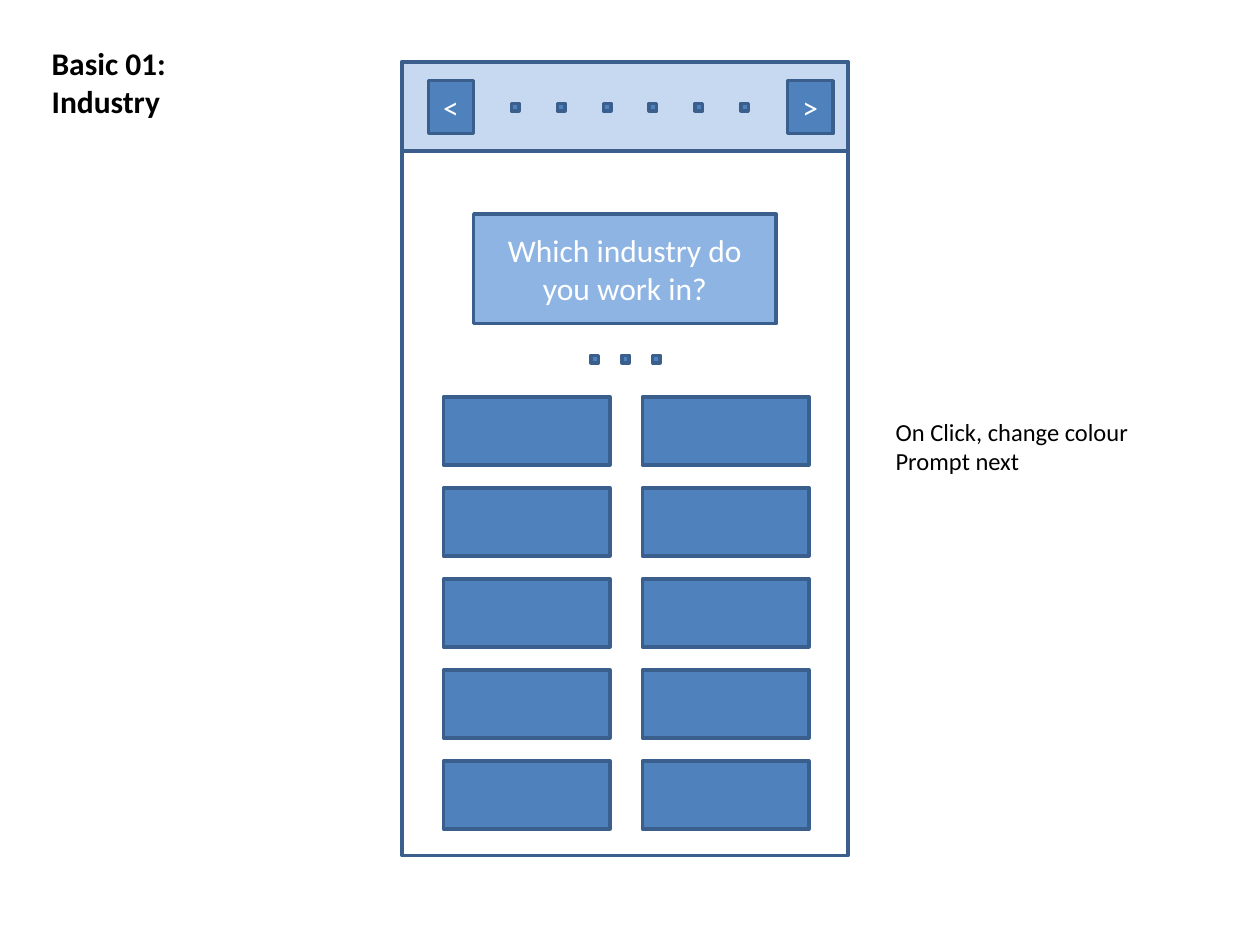
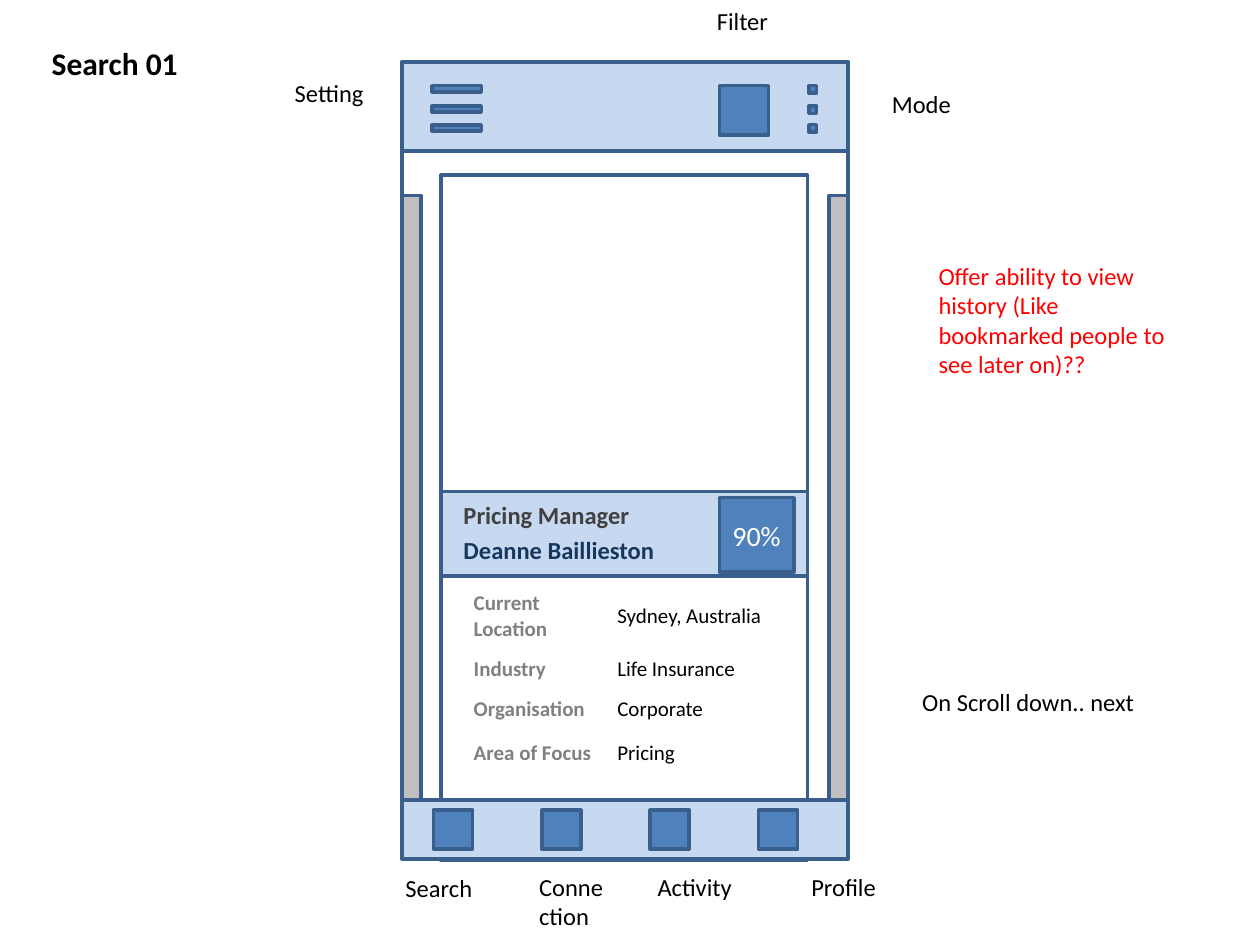
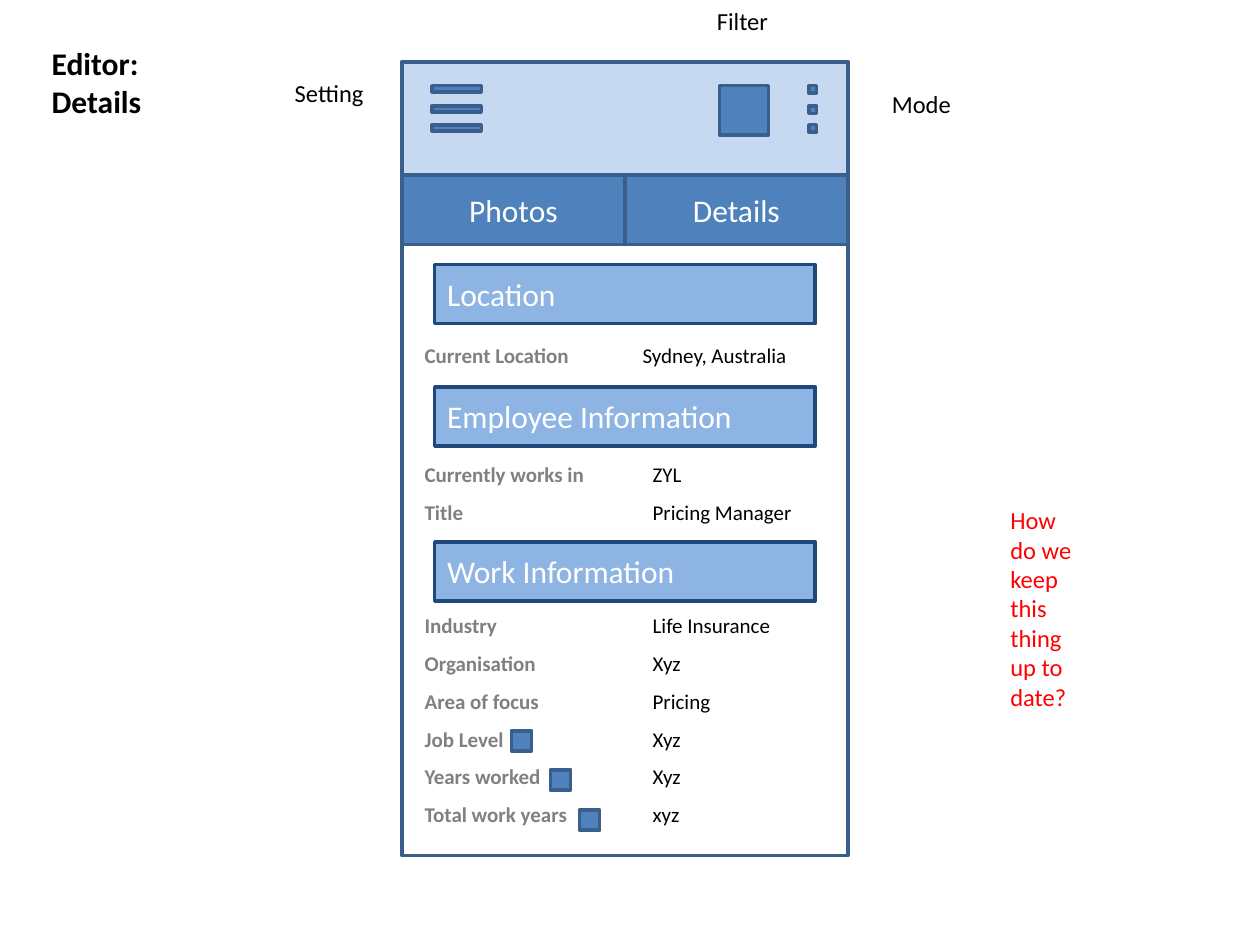
"""Builds three wireframe slides of a people-search phone app: question, search card and editor."""
from pptx import Presentation
from pptx.dml.color import RGBColor
from pptx.enum.shapes import MSO_SHAPE
from pptx.enum.text import MSO_ANCHOR as ANCHOR, MSO_AUTO_SIZE as AUTO_SIZE, PP_ALIGN as ALIGN
from pptx.util import Inches, Pt

COLORS = {
    "white": "FFFFFF", "black": "000000", "outline": "3A5F8C", "navy": "1F497D",
    "button": "4F81BD", "banner": "8EB4E3", "band": "C6D9F1", "scroll": "BFBFBF",
    "label": "808080", "role": "404040", "person": "17375E", "question": "FF0000",
}
FONT = "Calibri"
PHONE_LEFT, PHONE_TOP, PHONE_WIDTH, PHONE_HEIGHT = 3.19, 0.49, 3.54, 6.3
DOT = 0.06


def write(frame, text, size=14, color="black", bold=False, align=ALIGN.LEFT, anchor=ANCHOR.TOP):
    frame.text = text
    frame.word_wrap = True
    frame.vertical_anchor = anchor
    for paragraph in frame.paragraphs:
        paragraph.alignment = align
        font = paragraph.font
        font.name, font.size, font.bold = FONT, Pt(size), bold
        font.color.rgb = RGBColor.from_string(COLORS[color])


def box(slide, left, top, width, height, fill="button", line="outline", text="", **style):
    place = [Inches(value) for value in (left, top, width, height)]
    if fill is None:
        label = slide.shapes.add_textbox(*place)
        write(label.text_frame, text, **style)
        label.text_frame.auto_size = AUTO_SIZE.SHAPE_TO_FIT_TEXT
        return
    block = slide.shapes.add_shape(MSO_SHAPE.RECTANGLE, *place)
    block.shadow.inherit = False
    block.fill.solid()
    block.fill.fore_color.rgb = RGBColor.from_string(COLORS[fill])
    block.line.color.rgb = RGBColor.from_string(COLORS[line])
    block.line.width = Pt(2)
    if text:
        write(block.text_frame, text, **{"size": 18, "color": "white", "align": ALIGN.CENTER,
                                         "anchor": ANCHOR.MIDDLE, **style})


deck = Presentation()
deck.slide_width, deck.slide_height = Inches(10), Inches(7.5)

screens = []
for heading, width, height, band_height in [
    ("Basic 01:\nIndustry", 2.17, 0.71, 0.71),
    ("Search 01", 1.42, 0.4, 0.71),
    ("Editor:\nDetails", 1.42, 0.71, 1.45),
]:
    screen = deck.slides.add_slide(deck.slide_layouts[5])
    title = screen.shapes.title
    title.left, title.top = Inches(0.31), Inches(0.3)
    title.width, title.height = Inches(width), Inches(height)
    write(title.text_frame, heading, size=18, bold=True)
    title.text_frame.auto_size = AUTO_SIZE.NONE
    box(screen, PHONE_LEFT, PHONE_TOP, PHONE_WIDTH, PHONE_HEIGHT, "white")
    box(screen, PHONE_LEFT, PHONE_TOP, PHONE_WIDTH, band_height, "band")
    screens.append(screen)
industry, search, editor = screens

for screen in (search, editor):
    for top in (0.68, 0.84, 0.99):
        box(screen, 3.43, top, 0.39, 0.05)
        box(screen, 6.42, top, DOT, DOT)
    box(screen, 5.71, 0.68, 0.39, 0.39)
    for text, left, top in [("Mode", 6.98, 0.66), ("Filter", 5.59, 0), ("Setting", 2.24, 0.57)]:
        box(screen, left, top, 0.78, 0.34, None, text=text)

box(industry, 3.76, 1.7, 2.4, 0.87, "banner", text="Which industry do you work in?")
for arrow, left in [("<", 3.4), (">", 6.25)]:
    box(industry, left, 0.64, 0.36, 0.42, text=arrow)
for step in range(6):
    box(industry, 4.06 + step * 1.82 / 5, 0.82, DOT, DOT)
for step in range(3):
    box(industry, 4.69 + step * 0.49 / 2, 2.82, DOT, DOT)
for row in range(5):
    for left in (3.52, 5.1):
        box(industry, left, 3.15 + row * 2.89 / 4, 1.32, 0.54)
box(industry, 7.01, 3.26, 2.24, 0.57, None, text="On Click, change colour\nPrompt next")

box(search, 3.5, 1.39, 2.91, 5.41, "white")
box(search, 3.5, 4.57, 2.91, 2.26, "white")
for left in (PHONE_LEFT, 6.58):
    box(search, left, 1.55, 0.15, 5.25, "scroll")
box(search, PHONE_LEFT, 6.35, PHONE_WIDTH, 0.47, "band")
for step in range(4):
    box(search, 3.44 + step * 0.86, 6.43, 0.31, 0.31)
for text, left, top, width, height in [
    ("Search", 3.12, 6.88, 0.96, 0.34),
    ("Connection", 4.18, 6.87, 0.78, 0.57),
    ("Activity", 5.12, 6.87, 1.18, 0.34),
    ("Profile", 6.34, 6.87, 0.78, 0.34),
    ("On Scroll down.. next", 7.22, 5.4, 2.24, 0.34),
]:
    box(search, left, top, width, height, None, text=text)
box(search, 3.5, 3.9, 2.91, 0.67, "band")
box(search, 3.58, 3.91, 1.69, 0.34, None, text="Pricing Manager",
    color="role", bold=True, anchor=ANCHOR.BOTTOM)
box(search, 3.58, 4.2, 1.89, 0.34, None, text="Deanne Baillieston", color="person", bold=True)
box(search, 5.71, 3.95, 0.59, 0.59, text="90%", size=16)
box(search, 7.35, 2.02, 2.12, 1.04, None, color="question",
    text="Offer ability to view history (Like bookmarked people to see later on)??")

for step, tab in enumerate(["Photos", "Details"]):
    box(editor, PHONE_LEFT + step * PHONE_WIDTH / 2, 1.39, PHONE_WIDTH / 2, 0.55, text=tab)
for section, top in [("Location", 2.1), ("Employee Information", 3.07), ("Work Information", 4.3)]:
    box(editor, 3.45, top, 3.02, 0.47, "banner", "navy", section, align=ALIGN.LEFT)
box(editor, 7.92, 3.96, 0.78, 1.75, None, color="question",
    text="How do we keep this thing up to date?")

for screen, left, top, widths, heights, facts in [
    (search, 3.66, 4.64, (1.14, 1.58), (0.5, 0.34, 0.3, 0.4), [
        ("Current Location", "Sydney, Australia"), ("Industry", "Life Insurance"),
        ("Organisation", "Corporate"), ("Area of Focus", "Pricing")]),
    (editor, 3.27, 2.68, (1.73, 1.65), (0.3,), [("Current Location", "Sydney, Australia")]),
    (editor, 3.27, 3.62, (1.81, 1.57), (0.3,) * 2, [
        ("Currently works in", "ZYL"), ("Title", "Pricing Manager")]),
    (editor, 3.27, 4.82, (1.81, 1.58), (0.3,) * 6, [
        ("Industry", "Life Insurance"), ("Organisation", "Xyz"), ("Area of focus", "Pricing"),
        ("Job Level", "Xyz"), ("Years worked", "Xyz"), ("Total work years", "xyz")]),
]:
    profile = screen.shapes.add_table(len(facts), 2, Inches(left), Inches(top),
                                      Inches(sum(widths)), Inches(sum(heights))).table
    profile.first_row = profile.horz_banding = False
    for column, width in zip(profile.columns, widths):
        column.width = Inches(width)
    for row, height, fact in zip(profile.rows, heights, facts):
        row.height = Inches(height)
        for cell, text, color in zip(row.cells, fact, ("label", "black")):
            cell.fill.background()
            cell.vertical_anchor = ANCHOR.MIDDLE
            write(cell.text_frame, text, size=12, color=color, bold=color == "label",
                  anchor=ANCHOR.MIDDLE)

for left, top in [(4.06, 5.8), (4.37, 6.11), (4.6, 6.43)]:
    box(editor, left, top, 0.16, 0.16)

deck.save("out.pptx")
